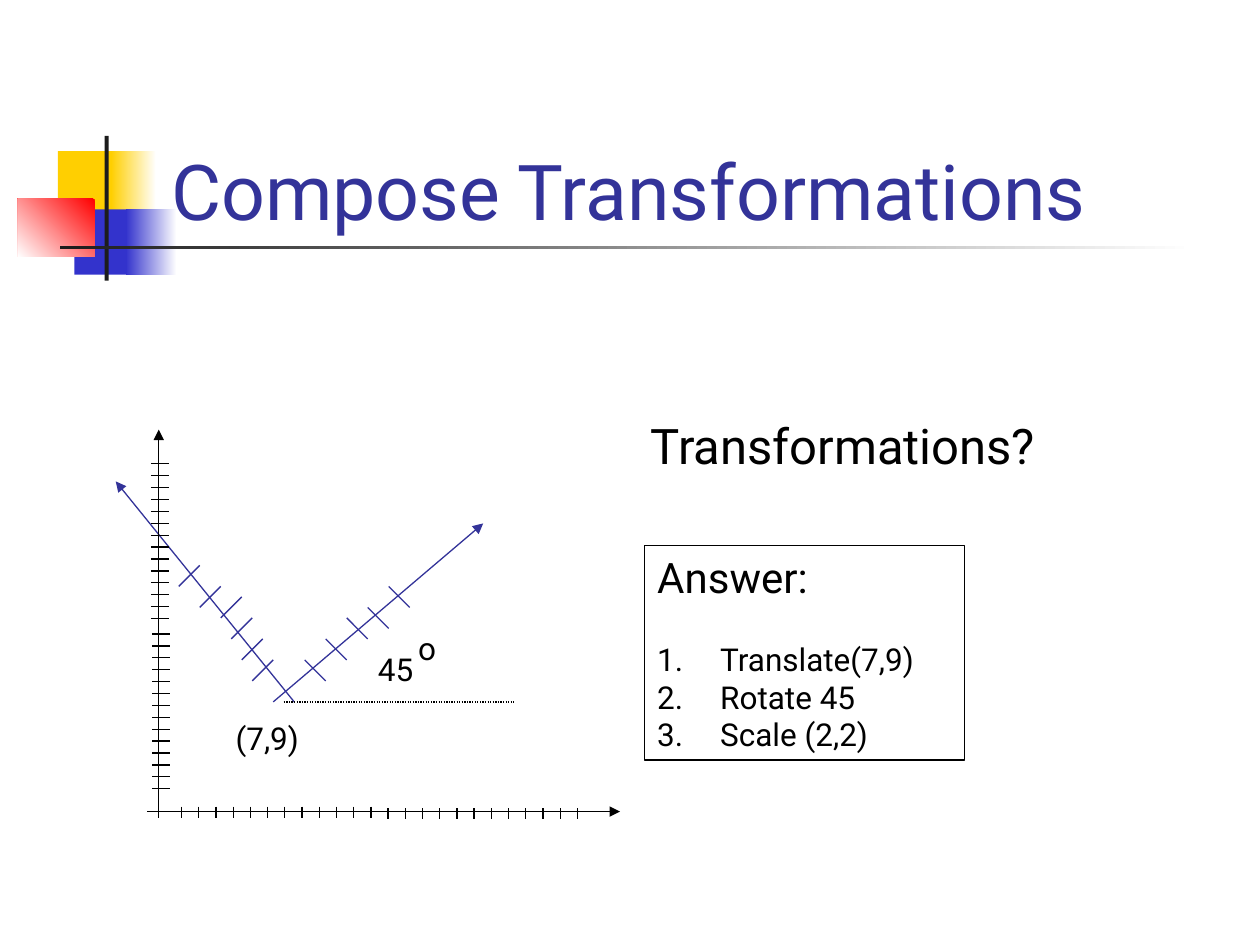
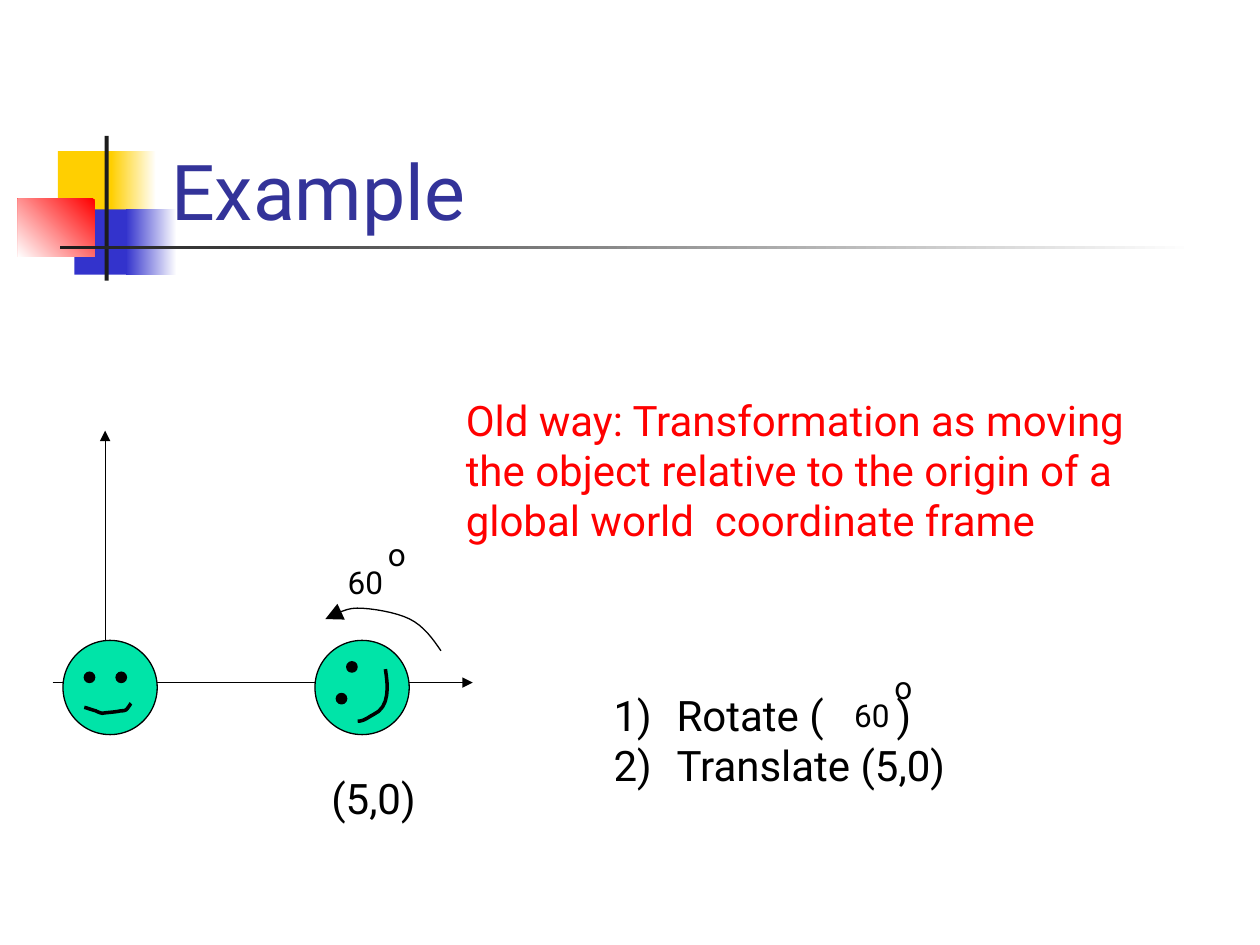
from lxml.etree import SubElement as Sub
from pptx import Presentation
from pptx.dml.color import RGBColor as RGB
from pptx.enum.dml import MSO_LINE as DASH
from pptx.enum.shapes import MSO_CONNECTOR as LINK, MSO_SHAPE as FORM
from pptx.enum.text import MSO_ANCHOR as ANCHOR
from pptx.oxml.ns import qn
from pptx.util import Cm, Pt

FONT = "Roboto"
WHITE = RGB(0xFF, 0xFF, 0xFF)
BLACK = RGB(0x00, 0x00, 0x00)
INK = RGB(0x1C, 0x1C, 0x1C)
NAVY = RGB(0x33, 0x33, 0x99)
BLUE = RGB(0x33, 0x33, 0xCC)
GOLD = RGB(0xFF, 0xCF, 0x01)
RED = RGB(0xFF, 0x00, 0x00)
MINT = RGB(0x00, 0xE4, 0xA8)
UNIT = 2.54 / 12


def style(frame, size, color):
    for para in frame.paragraphs:
        for run in para.runs:
            run.font.name = FONT
            run.font.size = Pt(size)
            run.font.color.rgb = color


def text(slide, x, y, w, h, lines, size, color=BLACK):
    box = slide.shapes.add_textbox(Cm(x), Cm(y), Cm(w), Cm(h))
    frame = box.text_frame
    frame.word_wrap = True
    frame.text = "\n".join(lines)
    style(frame, size, color)
    return box


def number(paras, kind):
    for para in paras:
        props = para._p.get_or_add_pPr()
        props.set("marL", str(Cm(1.27)))
        props.set("indent", str(-Cm(1.27)))
        Sub(props, qn("a:buFont"), typeface="+mj-lt")
        Sub(props, qn("a:buAutoNum"), type=kind)


def arrow(shape, size="med"):
    Sub(shape.line._get_or_add_ln(), qn("a:tailEnd"), type="triangle", w=size, len=size)


def line(slide, x1, y1, x2, y2, color=BLACK, tip=False):
    link = slide.shapes.add_connector(LINK.STRAIGHT, Cm(x1), Cm(y1), Cm(x2), Cm(y2))
    link.line.color.rgb = color
    link.line.width = Pt(0.75)
    Sub(link._element.spPr, qn("a:effectLst"))
    if tip:
        arrow(link)
    return link


def block(slide, x, y, w, h, first, last=None, angle=180):
    shape = slide.shapes.add_shape(FORM.RECTANGLE, Cm(x), Cm(y), Cm(w), Cm(h))
    shape.shadow.inherit = False
    shape.line.fill.background()
    if last is None:
        shape.fill.solid()
        shape.fill.fore_color.rgb = first
        return
    shape.fill.gradient()
    shape.fill.gradient_angle = angle
    for stop, color in zip(shape.fill.gradient_stops, (first, last)):
        stop.color.rgb = color


def disc(slide, x, y, size, color):
    shape = slide.shapes.add_shape(FORM.OVAL, Cm(x), Cm(y), Cm(size), Cm(size))
    shape.shadow.inherit = False
    shape.fill.solid()
    shape.fill.fore_color.rgb = color
    shape.line.color.rgb = BLACK
    shape.line.width = Pt(0.75)


def cubic(ends, t):
    s = 1 - t
    parts = (s**3, 3 * s * s * t, 3 * s * t * t, t**3)
    return sum(k * v for k, v in zip(parts, ends))


def curve(slide, x, y, knots, width):
    knots = [(x + dx, y + dy) for dx, dy in knots]
    spots = []
    for i in range(0, len(knots) - 1, 3):
        across, down = zip(*knots[i:i + 4])
        for step in range(1, 9):
            spots.append((Cm(cubic(across, step / 8)), Cm(cubic(down, step / 8))))
    left, top = knots[0]
    form = slide.shapes.build_freeform(Cm(left), Cm(top))
    form.add_line_segments(spots, close=False)
    shape = form.convert_to_shape()
    shape.shadow.inherit = False
    shape.fill.background()
    shape.line.color.rgb = BLACK
    shape.line.width = Pt(width)
    return shape


def header(slide, title):
    block(slide, 1.17, 3.05, 1.22, 1.32, GOLD)
    block(slide, 2.24, 3.05, 0.91, 1.32, WHITE, GOLD)
    block(slide, 1.5, 4.22, 1.17, 1.32, BLUE)
    block(slide, 2.54, 4.22, 1.02, 1.32, WHITE, BLUE)
    block(slide, 0.36, 4.01, 1.55, 1.17, RED, WHITE, 225)
    block(slide, 2.11, 2.74, 0.08, 2.92, INK)
    block(slide, 1.22, 4.95, 22.86, 0.08, WHITE, INK)
    box = text(slide, 3.2, 1.71, 21.64, 3.18, [title], 44, NAVY)
    box.text_frame.vertical_anchor = ANCHOR.BOTTOM


def angle(slide, x, y, value, rise=0.56):
    text(slide, x, y, 1.5, 1.02, [value], 18)
    text(slide, x + 0.81, y - rise, 1, 1.02, ["o"], 18)


def tilted(slide, x, y):
    def stroke(x1, y1, x2, y2, tip=False):
        line(slide, x + x1 * UNIT, y + y1 * UNIT, x + x2 * UNIT, y + y2 * UNIT, NAVY, tip)

    stroke(-1, 0, 19, -17, True)
    stroke(1, 0, -16, -21, True)
    for a, b in ((2, -4), (4, -6), (6, -8), (8, -9), (10, -11)):
        stroke(a, b, a + 2, b + 2)
    for a, b in ((-3, -2), (-4, -4), (-5, -6), (-6, -8), (-8, -9), (-10, -11)):
        stroke(a, b, a + 2, b - 2)


def grid(slide, x, y):
    tilted(slide, x + 2.52, y - 2.21)
    line(slide, x, y + 0.13, x, y - 7.7, tip=True)
    line(slide, x - 0.23, y, x + 9.3, y, tip=True)
    for i in range(24):
        across, shift = x + 0.46 + i * 7.98 / 23, i // 12 * 0.03
        line(slide, across, y - 0.1 + shift, across, y + 0.13 + shift)
    for i in range(28):
        half = i // 14
        down, shift = y - 0.46 - i * 0.24 - half * 0.07, half * 0.03
        line(slide, x - 0.13 - shift, down, x + 0.23 - shift, down)
    base = line(slide, x + 2.52, y - 2.21, x + 7.16, y - 2.21)
    base.line.dash_style = DASH.ROUND_DOT
    text(slide, x + 1.3, y - 1.98, 2.2, 1.02, ["(7,9)"], 18)
    angle(slide, x + 4.17, y - 3.38, "45", 0.43)


def answer(slide, x, y):
    text(slide, x - 0.13, y - 2.74, 8.89, 1.45, ["Transformations?"], 28)
    lines = ["Answer:", "Translate(7,9)", "Rotate 45", "Scale (2,2)"]
    box = text(slide, x, y, 6.45, 4.32, lines, 18)
    box.line.color.rgb = BLACK
    box.line.width = Pt(0.75)
    head, *steps = box.text_frame.paragraphs
    head.runs[0].font.size = Pt(24)
    steps[0].space_before = Pt(21.5)
    number(steps, "arabicPeriod")


def face(slide, x, y, eyes, mouth):
    disc(slide, x, y, 1.9, MINT)
    for dx, dy in eyes:
        disc(slide, x + dx, y + dy, 0.21, BLACK)
    curve(slide, x, y, mouth, 2)


def scene(slide, x, y):
    line(slide, x - 1.06, y, x + 7.41, y, tip=True)
    line(slide, x, y + 1.06, x, y - 5.08, tip=True)
    smile = [(0.43, 1.35), (0.51, 1.37), (0.58, 1.4), (0.66, 1.42),
             (0.71, 1.45), (0.79, 1.47), (0.79, 1.47),
             (0.91, 1.45), (1.04, 1.45), (1.17, 1.42),
             (1.22, 1.42), (1.27, 1.42), (1.3, 1.37),
             (1.32, 1.35), (1.37, 1.27), (1.37, 1.27)]
    turned = [(1.42, 0.58), (1.47, 0.91), (1.52, 1.35), (1.17, 1.5),
              (1.07, 1.55), (0.99, 1.63), (0.86, 1.63)]
    face(slide, x - 0.85, y - 0.85, [(0.43, 0.64), (1.07, 0.64)], smile)
    face(slide, x + 4.23, y - 0.85, [(0.43, 1.07), (0.64, 0.43)], turned)
    text(slide, x + 4.31, y + 1.68, 2.6, 1.27, ["(5,0)"], 24)
    sweep = [(6.77, -0.64), (6.6, -0.89), (6.42, -1.14), (6.14, -1.28),
             (5.86, -1.42), (5.35, -1.5), (5.08, -1.5),
             (4.8, -1.5), (4.57, -1.32), (4.44, -1.28)]
    arrow(curve(slide, x, y, sweep, 0.75), "lg")
    angle(slide, x + 4.64, y - 2.54, "60")


def steps(slide, x, y):
    box = text(slide, x, y, 8.28, 2.29, ["Rotate (", "Translate (5,0)"], 24)
    frame = box.text_frame
    first = frame.paragraphs[0]
    gap = first.add_run()
    gap.text = " "
    first.add_run().text = ")"
    style(frame, 24, BLACK)
    gap.font._element.set("spc", "3560")
    number(frame.paragraphs, "arabicParenR")
    angle(slide, x + 4.85, y + 0.13, "60")


def main():
    deck = Presentation()
    deck.slide_width, deck.slide_height = Cm(25.4), Cm(19.05)
    blank = deck.slide_layouts[6]

    slide = deck.slides.add_slide(blank)
    header(slide, "Compose Transformations")
    grid(slide, 3.2, 16.36)
    answer(slide, 13, 11)

    slide = deck.slides.add_slide(blank)
    header(slide, "Example")
    old = ["Old way: Transformation as moving",
           "the object relative to the origin of a",
           "global world  coordinate frame"]
    text(slide, 9.14, 7.82, 14.88, 3.3, old, 24, RED)
    scene(slide, 2.12, 13.76)
    steps(slide, 12.12, 13.77)

    deck.save("out.pptx")


if __name__ == "__main__":
    main()
